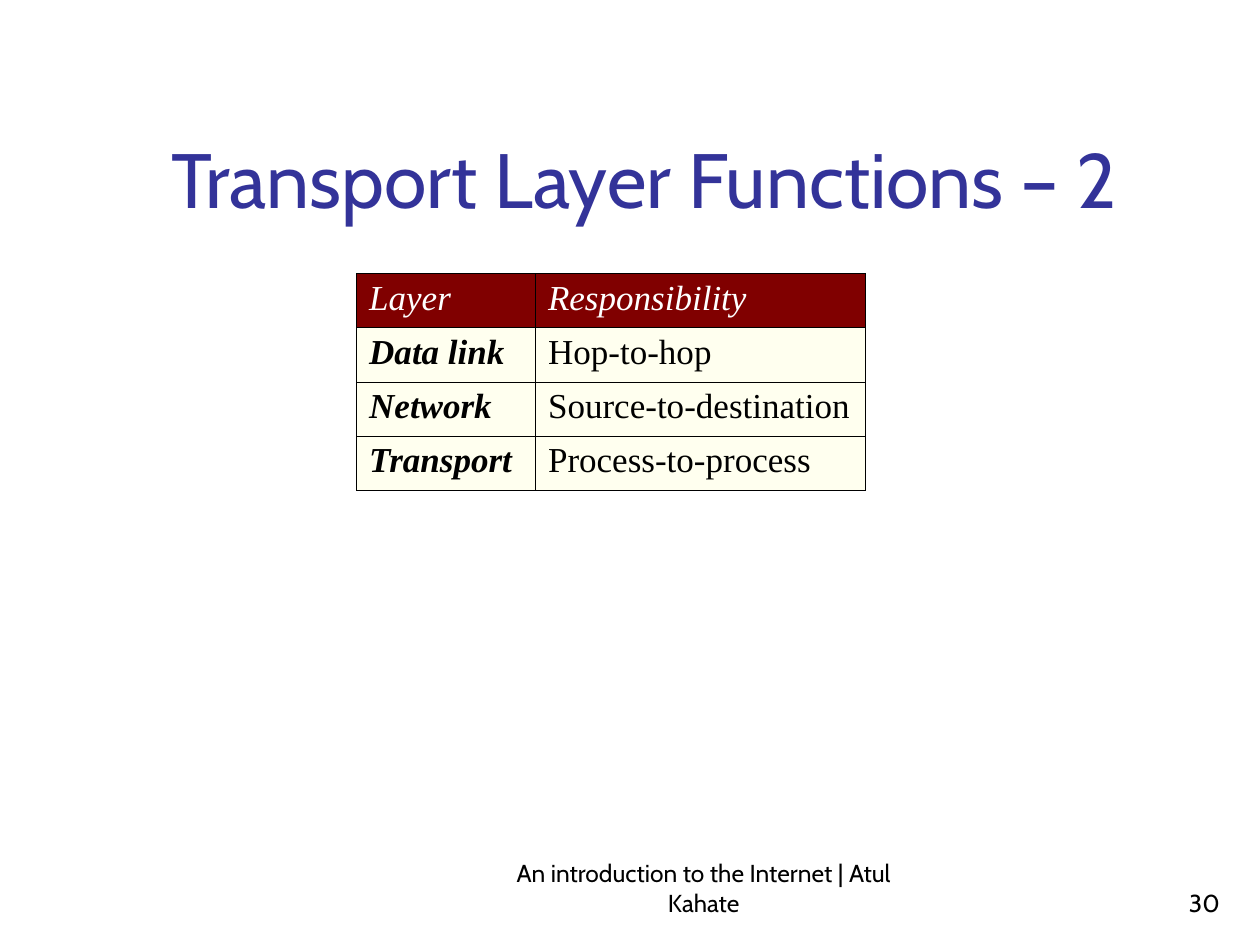
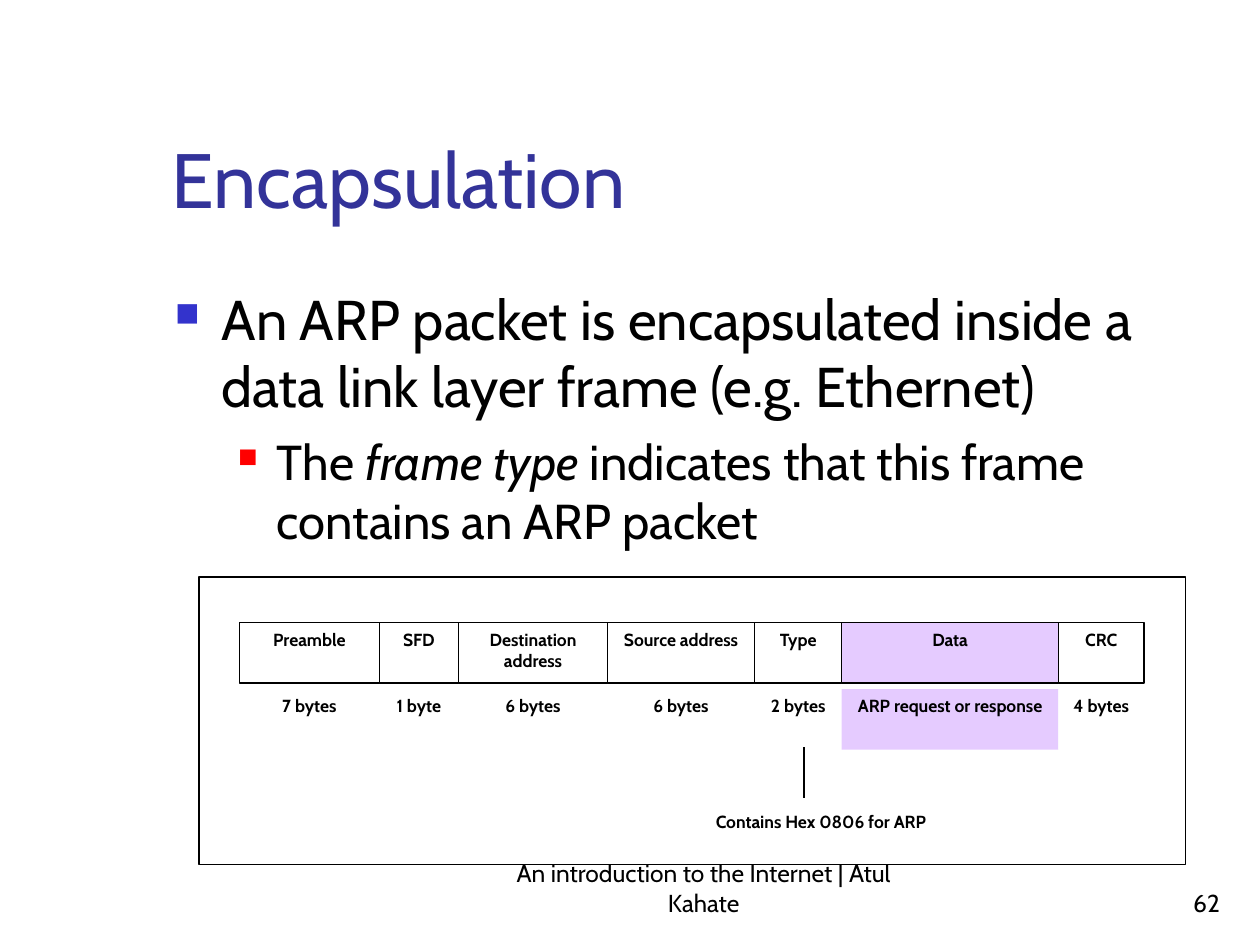
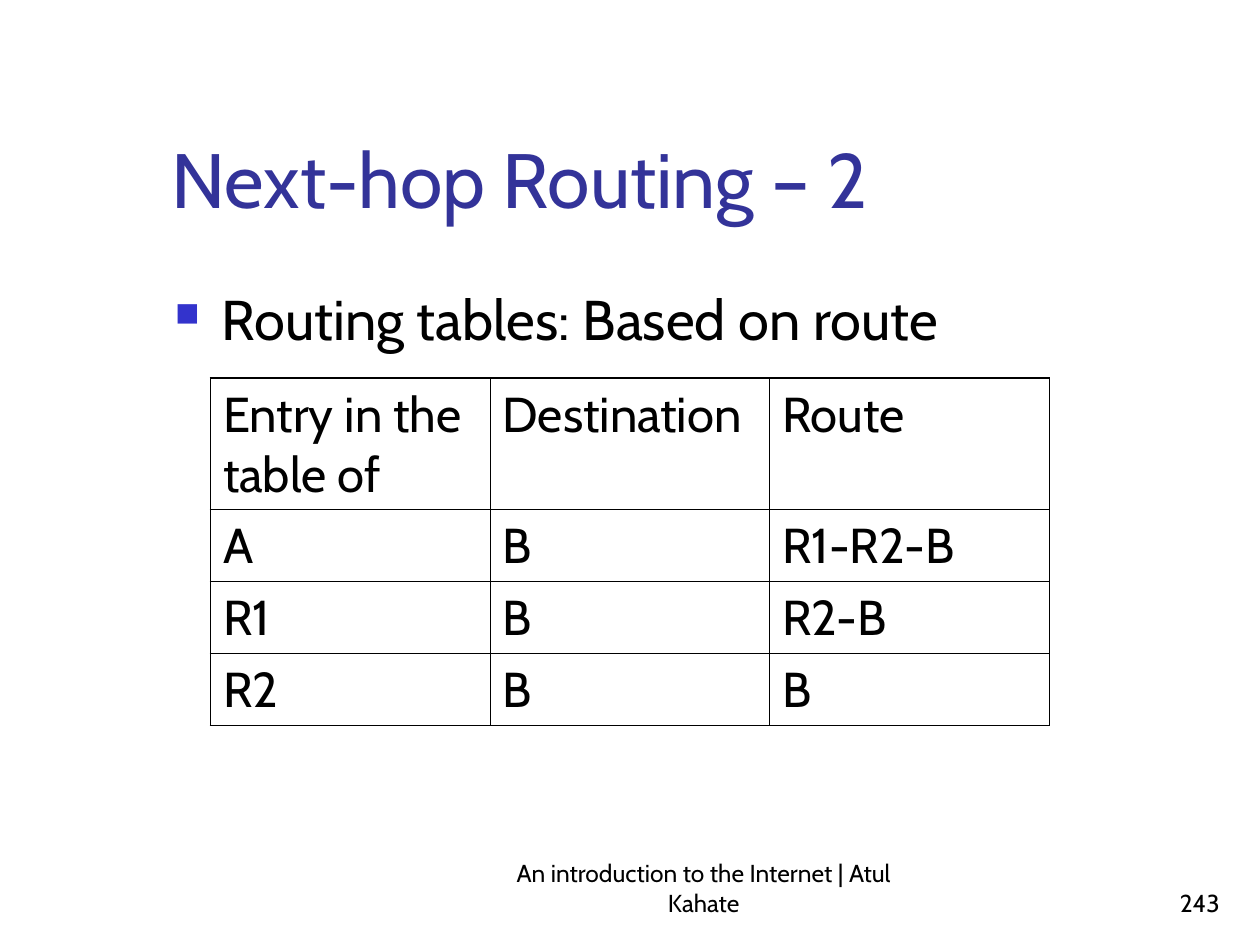
from lxml.etree import SubElement
from pptx import Presentation
from pptx.dml.color import RGBColor
from pptx.enum.shapes import MSO_CONNECTOR as Link, MSO_SHAPE as Kind
from pptx.enum.text import MSO_ANCHOR as Anchor, MSO_AUTO_SIZE as Fit, PP_ALIGN as Align
from pptx.oxml.ns import qn
from pptx.util import Inches, Pt

SANS, SERIF = "Cabin", "Times New Roman"
BLACK, WHITE, TITLE = "000000", "FFFFFF", "333399"
MAROON, CREAM, LILAC = "800000", "FFFFEF", "CC99FF"
FOOTER = "An introduction to the Internet | Atul Kahate"
BODY = (1.29, 2.21, 8.5, 4.5)

# Per level: bullet colour, bullet percent, left indent, hang, text size, space before
LEVELS = [("3333CC", 60, 0.37, 0.37, 32, 8), ("FF0000", 55, 0.81, 0.31, 28, 7)]

FIELDS = [  # name, size, width
    ("Preamble", "7 bytes", 1.11),
    ("SFD", "1 byte", 0.63),
    ("Destination address", "6 bytes", 1.18),
    ("Source address", "6 bytes", 1.17),
    ("Type", "2 bytes", 0.69),
    ("Data", "ARP request or response", 1.72),
    ("CRC", "4 bytes", 0.68),
]


def rgb(code):
    return RGBColor.from_string(code)


def inches(box):
    return [Inches(n) for n in box]


def write(para, text, size=14, color=BLACK, font=SANS, bold=False, italic=False,
          align=Align.LEFT):
    para.alignment = align
    run = para.add_run()
    run.text = text
    face = run.font
    face.size, face.name = Pt(size), font
    face.bold, face.italic = bold, italic
    face.color.rgb = rgb(color)


def text_box(slide, box, anchor=Anchor.TOP):
    frame = slide.shapes.add_textbox(*inches(box)).text_frame
    frame.word_wrap = True
    frame.vertical_anchor = anchor
    return frame


def start(deck, title, number):
    """Add a slide with its title, footer and page number."""
    slide = deck.slides.add_slide(deck.slide_layouts[5])
    head = slide.shapes.title
    head.left, head.top, head.width, head.height = inches((1.26, 0.23, 8.52, 1.6))
    frame = head.text_frame
    frame.auto_size, frame.word_wrap = Fit.NONE, True
    frame.vertical_anchor = Anchor.BOTTOM
    write(frame.paragraphs[0], title, size=44, color=TITLE)
    for text, left, width, align in ((FOOTER, 4, 3.17, Align.CENTER),
                                     (str(number), 7.7, 2.08, Align.RIGHT)):
        foot = text_box(slide, (left, 6.83, width, 0.5), Anchor.BOTTOM)
        write(foot.paragraphs[0], text, align=align)
    return slide


def bullets(slide, box, items):
    """Write items of (level, runs), where a run is (text, italic)."""
    frame = text_box(slide, box)
    for i, (level, runs) in enumerate(items):
        para = frame.add_paragraph() if i else frame.paragraphs[0]
        color, percent, left, hang, size, gap = LEVELS[level]
        para.level = level
        props = para._p.get_or_add_pPr()
        props.set("marL", str(Inches(left)))
        props.set("indent", str(-Inches(hang)))
        SubElement(SubElement(props, qn("a:buClr")), qn("a:srgbClr"), val=color)
        SubElement(props, qn("a:buSzPct"), val=str(percent * 1000))
        SubElement(props, qn("a:buChar"), char="■")
        if i:
            para.space_before = Pt(gap)
        for text, italic in runs:
            write(para, text, size=size, italic=italic)


def border(cell, widths):
    """Draw the left, right, top and bottom sides, in that order."""
    props = cell._tc.get_or_add_tcPr()
    for i, (side, width) in enumerate(zip("LRTB", widths)):
        line = props.makeelement(qn(f"a:ln{side}"), {"w": str(Pt(width))})
        fill = SubElement(line, qn("a:solidFill"))
        SubElement(fill, qn("a:srgbClr"), val=BLACK)
        props.insert(i, line)


def grid(slide, place, cols, heights, rows, look, edge, inner, rule, top=0.05, spacing=1):
    """Add a table; look(row, col) gives the fill and the text format of a cell."""
    box = (*place, sum(cols), sum(heights))
    table = slide.shapes.add_table(len(rows), len(cols), *inches(box)).table
    table.first_row = table.horz_banding = False
    for col, width in zip(table.columns, cols):
        col.width = Inches(width)
    for row, height in zip(table.rows, heights):
        row.height = Inches(height)
    across = [edge] + [inner] * (len(cols) - 1) + [edge]
    down = [edge, rule] + [inner] * (len(rows) - 2) + [edge]
    for r, texts in enumerate(rows):
        for c, text in enumerate(texts):
            cell = table.cell(r, c)
            fill, style = look(r, c)
            cell.margin_top = Inches(top)
            cell.fill.solid()
            cell.fill.fore_color.rgb = rgb(fill)
            border(cell, across[c:c + 2] + down[r:r + 2])
            para = cell.text_frame.paragraphs[0]
            para.line_spacing = spacing
            write(para, text, **style)


def block(shapes, box, text="", fill=WHITE, line=True):
    shape = shapes.add_shape(Kind.RECTANGLE, *inches(box))
    shape.shadow.inherit = False
    shape.fill.solid()
    shape.fill.fore_color.rgb = rgb(fill)
    if fill == LILAC:
        tint = shape.fill._xPr.find(qn("a:solidFill"))[0]
        SubElement(tint, qn("a:alpha"), val="50000")
    if line:
        shape.line.color.rgb = rgb(BLACK)
        shape.line.width = Pt(0.75)
    else:
        shape.line.fill.background()
    if text:
        frame = shape.text_frame
        frame.word_wrap, frame.vertical_anchor = True, Anchor.TOP
        write(frame.paragraphs[0], text, size=10, bold=True, align=Align.CENTER)


def packet(slide, box):
    """Draw the frame layout with a note under its type field."""
    left, top = box[:2]
    shapes = slide.shapes.add_group_shape().shapes
    block(shapes, box)
    x = left + 0.32
    for name, size, width in FIELDS:
        fill = LILAC if name == "Data" else WHITE
        block(shapes, (x, top + 0.36, width, 0.48), name, fill)
        block(shapes, (x, top + 0.89, width, 0.48), size, fill, line=False)
        x += width
    mark = left + 4.8
    stem = shapes.add_connector(Link.STRAIGHT, *inches((mark, top + 1.35, mark, top + 1.75)))
    stem.line.color.rgb = rgb(BLACK)
    stem.line.width = Pt(0.75)
    SubElement(stem._element.spPr, qn("a:effectLst"))
    block(shapes, (left + 3.67, top + 1.81, 2.53, 0.28), "Contains Hex 0806 for ARP",
          line=False)


def layer_look(row, col):
    style = dict(size=20, font=SERIF, color=BLACK if row else WHITE,
                 bold=row > 0 and col == 0, italic=row == 0 or col == 0)
    return CREAM if row else MAROON, style


def route_look(row, col):
    return WHITE, dict(size=28)


def layers(deck):
    slide = start(deck, "Transport Layer Functions – 2", 30)
    rows = [("Layer", "Responsibility"), ("Data link", "Hop-to-hop"),
            ("Network", "Source-to-destination"), ("Transport", "Process-to-process")]
    grid(slide, (2.83, 2.17), [1.42, 2.62], [0.43] * 4, rows, layer_look,
         edge=0.34, inner=0.34, rule=0.96, top=0.06, spacing=0.95)


def wrapping(deck):
    slide = start(deck, "Encapsulation", 62)
    bullets(slide, BODY, [
        (0, [("An ARP packet is encapsulated inside a data link layer frame "
              "(e.g. Ethernet)", False)]),
        (1, [("The ", False), ("frame type", True),
             (" indicates that this frame contains an ARP packet", False)]),
    ])
    packet(slide, (1.58, 4.58, 7.83, 2.28))


def routing(deck):
    slide = start(deck, "Next-hop Routing – 2", 243)
    bullets(slide, BODY, [(0, [("Routing tables: Based on route", False)])])
    rows = [("Entry in the table of", "Destination", "Route"), ("A", "B", "R1-R2-B"),
            ("R1", "B", "R2-B"), ("R2", "B", "B")]
    grid(slide, (1.67, 3), [2.22] * 3, [1.03] + [0.57] * 3, rows, route_look,
         edge=1.08, inner=0.45, rule=0.45, spacing=1.01)


def main():
    deck = Presentation()
    deck.slide_width, deck.slide_height = Inches(10), Inches(7.5)
    for build in (layers, wrapping, routing):
        build(deck)
    deck.save("out.pptx")


if __name__ == "__main__":
    main()
